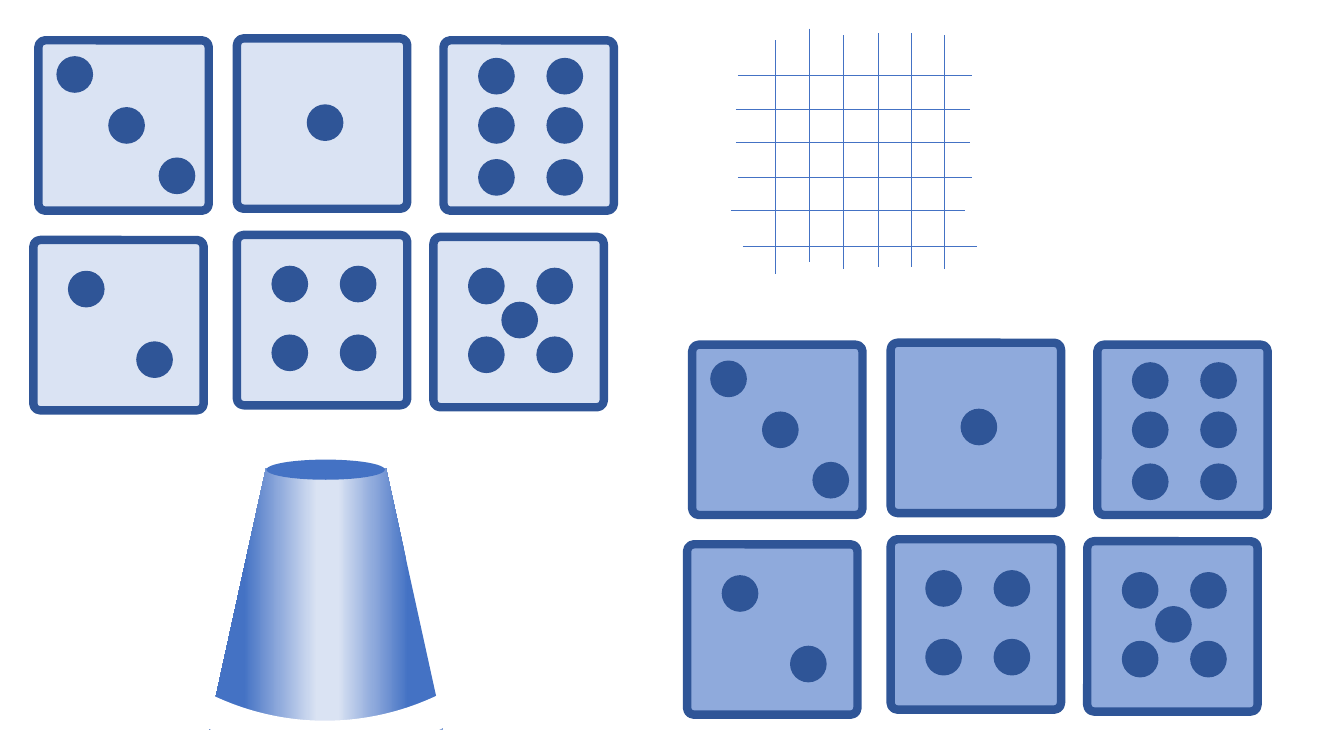
"""Build a slide of dice, a crossed grid of lines and a dice cup."""
from dataclasses import dataclass

from lxml.etree import SubElement
from pptx import Presentation
from pptx.dml.color import RGBColor
from pptx.enum.shapes import MSO_CONNECTOR as Connector, MSO_SHAPE as Preset
from pptx.oxml.ns import qn
from pptx.util import Pt

LEFT, RIGHT = 25.2, 74
SQUARE = [(x, y) for y in (22.5, 71.6) for x in (LEFT, RIGHT)]
DICE = [
    ((27.4, 28.8), [(13.4, 11.8), (50.4, 48.2), (86.4, 84.2)]),
    ((169.2, 27.4), [(50.4, 47.6)]),
    ((316.8, 28.8), [(x, y) for y in (13, 48.2, 85.3) for x in (LEFT, RIGHT)]),
    ((23.8, 171.4), [(LEFT, 22.5), (RIGHT, 72.9)]),
    ((169.2, 167.8), SQUARE),
    ((309.6, 169.2), SQUARE + [(49, 46.8)]),
]
ROW_STARTS = [(527, 54), (525.6, 77.8), (525.6, 101.5),
              (527, 126.7), (522, 150.5), (530.6, 175.7)]
COLUMN_STARTS = [(553.7, 28.8), (578.2, 20.4), (602.6, 25.2),
                 (627.1, 23.8), (650.9, 23.8), (674.6, 25.2)]
DIE_SIZE, DOT_SIZE, GRID_LENGTH = 121.7, 25.2, 167


@dataclass(frozen=True)
class Theme:
    """Colours and line widths of the slide."""
    dark: str = "2F5597"
    accent: str = "4472C4"
    middle: str = "8FAADC"
    pale: str = "DAE3F3"
    white: str = "FFFFFF"
    die_line: float = 6
    dot_line: float = 1
    grid_line: float = 0.5
    arc_line: float = 23


THEME = Theme()
CUP_STOPS = [(15, THEME.accent), (30, THEME.middle), (45, THEME.pale),
             (54, THEME.pale), (70, THEME.middle), (85, THEME.accent)]
DICE_SETS = [((0, 0), THEME.pale), ((467, 217.4), THEME.middle)]


def set_line(line, colour, width):
    """Give a line its colour and width."""
    line.color.rgb = RGBColor.from_string(colour)
    line.width = Pt(width)


def add_shape(group, preset, box, fill=None, line=None, width=0):
    """Add a preset shape without shadow; a missing fill or line stays empty."""
    shape = group.shapes.add_shape(preset, *map(Pt, box))
    shape.shadow.inherit = False
    if fill:
        shape.fill.solid()
        shape.fill.fore_color.rgb = RGBColor.from_string(fill)
    else:
        shape.fill.background()
    if line:
        set_line(shape.line, line, width)
    else:
        shape.line.fill.background()
    return shape


def add_die(slide, left, top, dots, fill):
    """Add one die as a group of a rounded square and its dots."""
    group = slide.shapes.add_group_shape()
    body = add_shape(group, Preset.ROUNDED_RECTANGLE, (left, top, DIE_SIZE, DIE_SIZE),
                     fill, THEME.dark, THEME.die_line)
    body.adjustments[0] = 0.04
    for x, y in dots:
        add_shape(group, Preset.OVAL, (left + x, top + y, DOT_SIZE, DOT_SIZE),
                  THEME.dark, THEME.dark, THEME.dot_line)


def add_grid(slide):
    """Add the crossed rows and columns of lines."""
    group = slide.shapes.add_group_shape()
    for starts, across, down in ((ROW_STARTS, GRID_LENGTH, 0),
                                 (COLUMN_STARTS, 0, GRID_LENGTH)):
        for x, y in starts:
            connector = group.shapes.add_connector(
                Connector.STRAIGHT, Pt(x), Pt(y), Pt(x + across), Pt(y + down))
            set_line(connector.line, THEME.accent, THEME.grid_line)
            SubElement(connector.element.spPr, qn("a:effectLst"))


def add_cup(slide):
    """Add the cup: shaded body, rim and the white arc that rounds its base."""
    group = slide.shapes.add_group_shape()
    body = add_shape(group, Preset.TRAPEZOID, (149, 334, 167.8, 187.2))
    body.adjustments[0] = 0.245
    body.fill.gradient()
    body.fill.gradient_angle = 180
    stops = body.element.spPr.find(".//" + qn("a:gsLst"))
    for stop in list(stops):
        stops.remove(stop)
    for percent, colour in CUP_STOPS:
        stop = SubElement(stops, qn("a:gs"), pos=str(percent * 1000))
        SubElement(stop, qn("a:srgbClr"), val=colour)
    add_shape(group, Preset.OVAL, (190.3, 328.3, 84.6, 14.4), THEME.accent)
    arc = add_shape(group, Preset.ARC, (33.8, 129.6, 396.7, 396.7),
                    line=THEME.white, width=THEME.arc_line)
    arc.rotation = 134.1


presentation = Presentation()
presentation.slide_width, presentation.slide_height = Pt(960), Pt(540)
slide = presentation.slides.add_slide(presentation.slide_layouts[6])
add_grid(slide)
add_cup(slide)
for (shift_x, shift_y), fill in DICE_SETS:
    for (left, top), dots in DICE:
        add_die(slide, left + shift_x, top + shift_y, dots, fill)
presentation.save("out.pptx")
